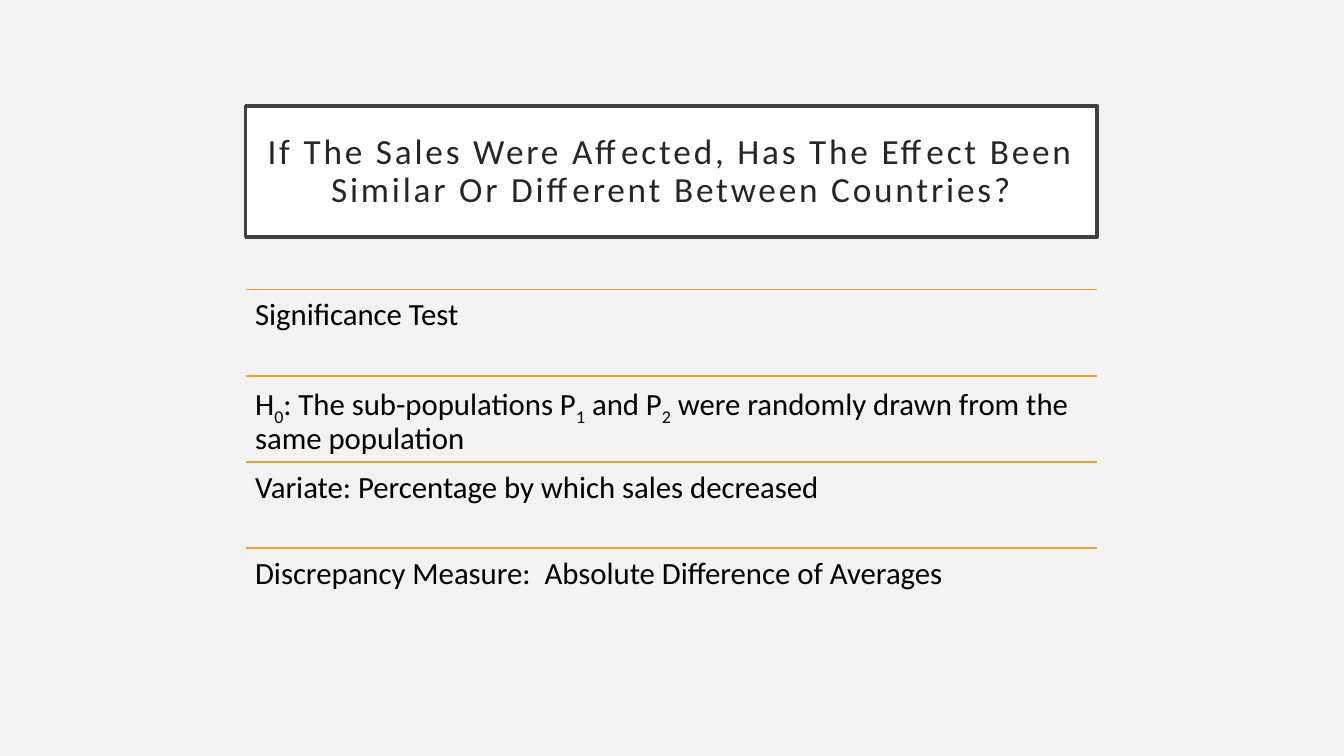
from lxml.etree import SubElement
from pptx import Presentation
from pptx.dml.color import RGBColor
from pptx.enum.shapes import MSO_CONNECTOR, MSO_SHAPE
from pptx.enum.text import MSO_ANCHOR, PP_ALIGN
from pptx.oxml.ns import qn
from pptx.util import Pt

EMU_PER_PX = 9525
LEFT, WIDTH = 234, 811
LIST_TOP, ROW_HEIGHT = 276, 82
TITLE = ("If The Sales Were Affected, Has The Effect Been "
         "Similar Or Different Between Countries?")
# Underscores enclose subscripts.
ROWS = [
    "Significance Test",
    "H_0_: The sub-populations P_1_ and P_2_ were randomly drawn "
    "from the same population",
    "Variate: Percentage by which sales decreased",
    "Discrepancy Measure:  Absolute Difference of Averages",
]


def px(n):
    return n * EMU_PER_PX


def rgb(hex_color):
    return RGBColor.from_string(hex_color)


def set_frame(tf, inset, anchor):
    tf.word_wrap = True
    tf.vertical_anchor = anchor
    tf.margin_left = tf.margin_right = px(inset)
    tf.margin_top = tf.margin_bottom = px(inset)
    tf.paragraphs[0].line_spacing = 0.9


def format_run(r, size, color):
    r.font.name = "Calibri"
    r.font.size = Pt(size)
    r.font.color.rgb = rgb(color)


def add_title(s):
    sp = s.shapes.add_shape(MSO_SHAPE.RECTANGLE, px(LEFT), px(101),
                            px(WIDTH), px(125))
    sp.shadow.inherit = False
    sp.fill.solid()
    sp.fill.fore_color.rgb = rgb("FFFFFF")
    sp.line.color.rgb = rgb("404040")
    sp.line.width = Pt(2.5)
    tf = sp.text_frame
    tf.text = TITLE
    set_frame(tf, 19, MSO_ANCHOR.MIDDLE)
    p = tf.paragraphs[0]
    p.alignment = PP_ALIGN.CENTER
    r = p.runs[0]
    format_run(r, 25.2, "262626")
    r.font._element.set("spc", "200")


def add_rule(s, top):
    line = s.shapes.add_connector(MSO_CONNECTOR.STRAIGHT, px(LEFT), px(top),
                                  px(LEFT + WIDTH), px(top))
    line.line.color.rgb = rgb("F6A21D")
    line.line.width = Pt(1)
    SubElement(line._element.spPr, qn("a:effectLst"))


def add_row_text(s, top, text):
    sp = s.shapes.add_textbox(px(LEFT), px(top), px(WIDTH), px(ROW_HEIGHT))
    tf = sp.text_frame
    set_frame(tf, 9, MSO_ANCHOR.TOP)
    for i, part in enumerate(text.split("_")):
        r = tf.paragraphs[0].add_run()
        r.text = part
        format_run(r, 22, "000000")
        if i % 2:
            r.font._element.set("baseline", "-25000")


def main():
    prs = Presentation()
    prs.slide_width, prs.slide_height = px(1280), px(720)
    s = prs.slides.add_slide(prs.slide_layouts[6])
    s.background.fill.solid()
    s.background.fill.fore_color.rgb = rgb("F2F2F2")
    add_title(s)
    for i, text in enumerate(ROWS):
        top = LIST_TOP + i * ROW_HEIGHT
        add_rule(s, top)
        add_row_text(s, top, text)
    prs.save("out.pptx")


if __name__ == "__main__":
    main()
